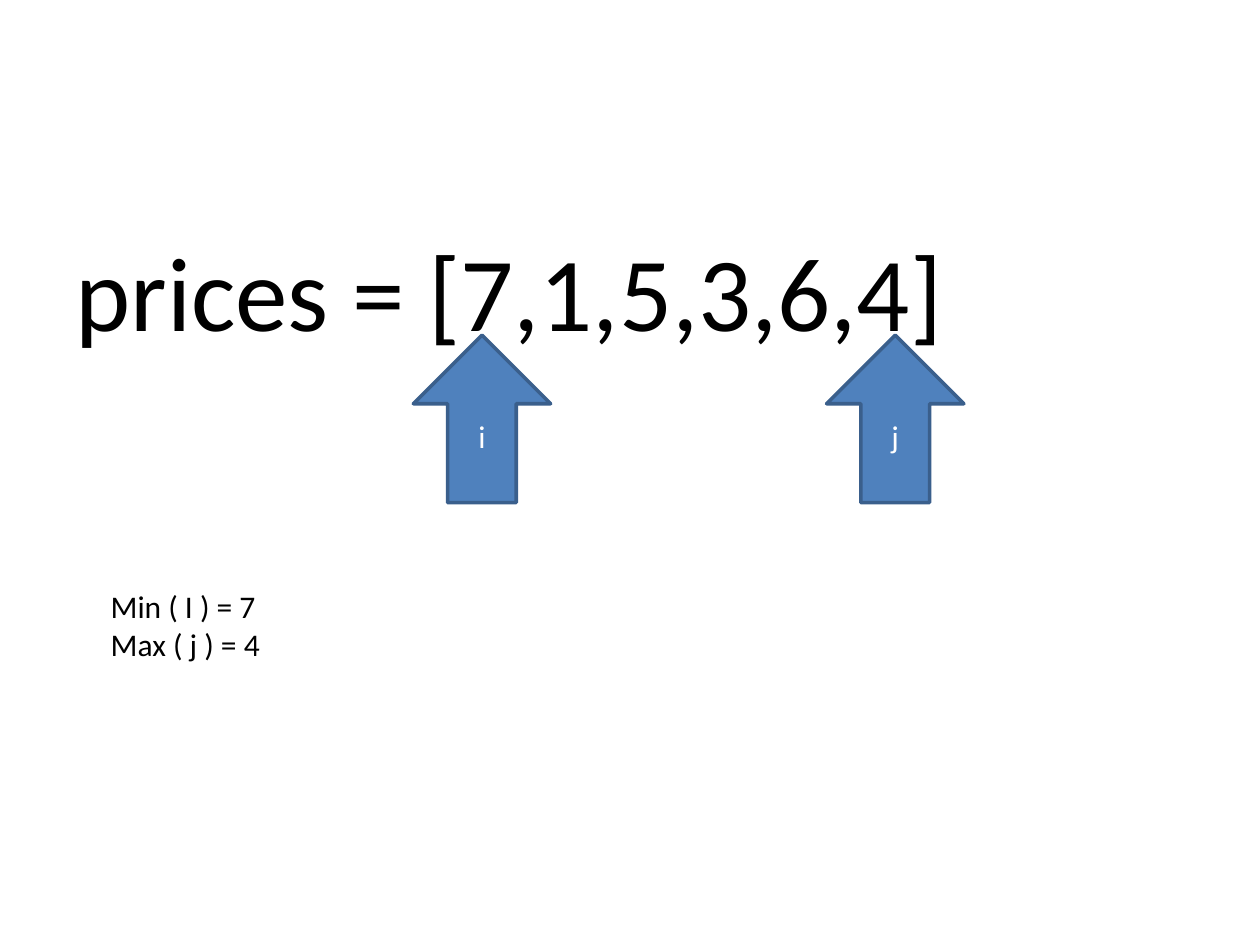
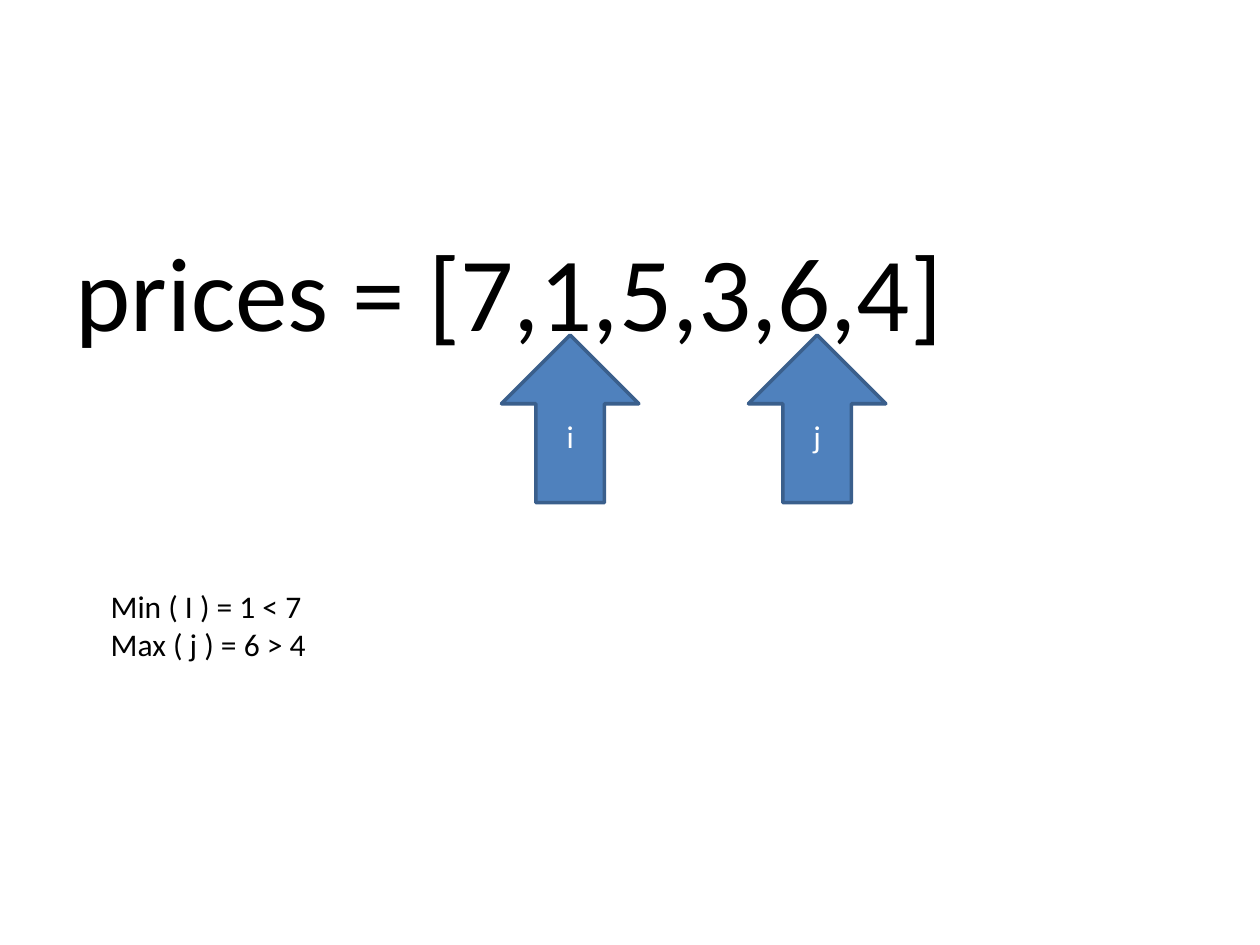
import pptx
import pptx.util
import pptx.dml.color
import pptx.enum.shapes
import pptx.enum.text

Inches = pptx.util.Inches
Pt = pptx.util.Pt
COLORS = {"text": "000000", "arrow": "4F81BD", "outline": "3A5F8C", "label": "FFFFFF"}
FONT = "Calibri"
ARROW_TOP, ARROW_WIDTH, ARROW_HEIGHT = 2.66, 1.09, 1.33


def color(name):
    return pptx.dml.color.RGBColor.from_string(COLORS[name])


def write(tf, text, size, color_name):
    tf.text = text
    for p in tf.paragraphs:
        for r in p.runs:
            r.font.name = FONT
            r.font.size = Pt(size)
            r.font.color.rgb = color(color_name)


steps = [
    ({"i": 3.28, "j": 6.56}, "Min ( I ) = 7\nMax ( j ) = 4"),
    ({"i": 3.98, "j": 5.94}, "Min ( I ) = 1 < 7\nMax ( j ) = 6 > 4"),
]

prs = pptx.Presentation()
prs.slide_width = Inches(10)
prs.slide_height = Inches(7.5)

for pointers, result in steps:
    s = prs.slides.add_slide(prs.slide_layouts[6])

    sp = s.shapes.add_textbox(Inches(0.5), Inches(1.75), Inches(8.56), Inches(0.98))
    tf = sp.text_frame
    tf.word_wrap = True
    write(tf, "prices = [7,1,5,3,6,4]", 60, "text")
    p = tf.paragraphs[0]
    p.space_before = Pt(3)
    pPr = p._p.get_or_add_pPr()
    pPr.set("marL", str(Inches(0.38)))
    pPr.set("indent", str(Inches(-0.38)))

    for label, left in pointers.items():
        sp = s.shapes.add_shape(
            pptx.enum.shapes.MSO_SHAPE.UP_ARROW,
            Inches(left), Inches(ARROW_TOP), Inches(ARROW_WIDTH), Inches(ARROW_HEIGHT),
        )
        sp.shadow.inherit = False
        sp.fill.solid()
        sp.fill.fore_color.rgb = color("arrow")
        sp.line.color.rgb = color("outline")
        sp.line.width = Pt(2)
        tf = sp.text_frame
        tf.vertical_anchor = pptx.enum.text.MSO_ANCHOR.MIDDLE
        write(tf, label, 18, "label")
        tf.paragraphs[0].alignment = pptx.enum.text.PP_ALIGN.CENTER

    sp = s.shapes.add_textbox(Inches(0.78), Inches(4.61), Inches(2.03), Inches(0.71))
    tf = sp.text_frame
    tf.word_wrap = True
    tf.auto_size = pptx.enum.text.MSO_AUTO_SIZE.SHAPE_TO_FIT_TEXT
    write(tf, result, 18, "text")

prs.save("out.pptx")
